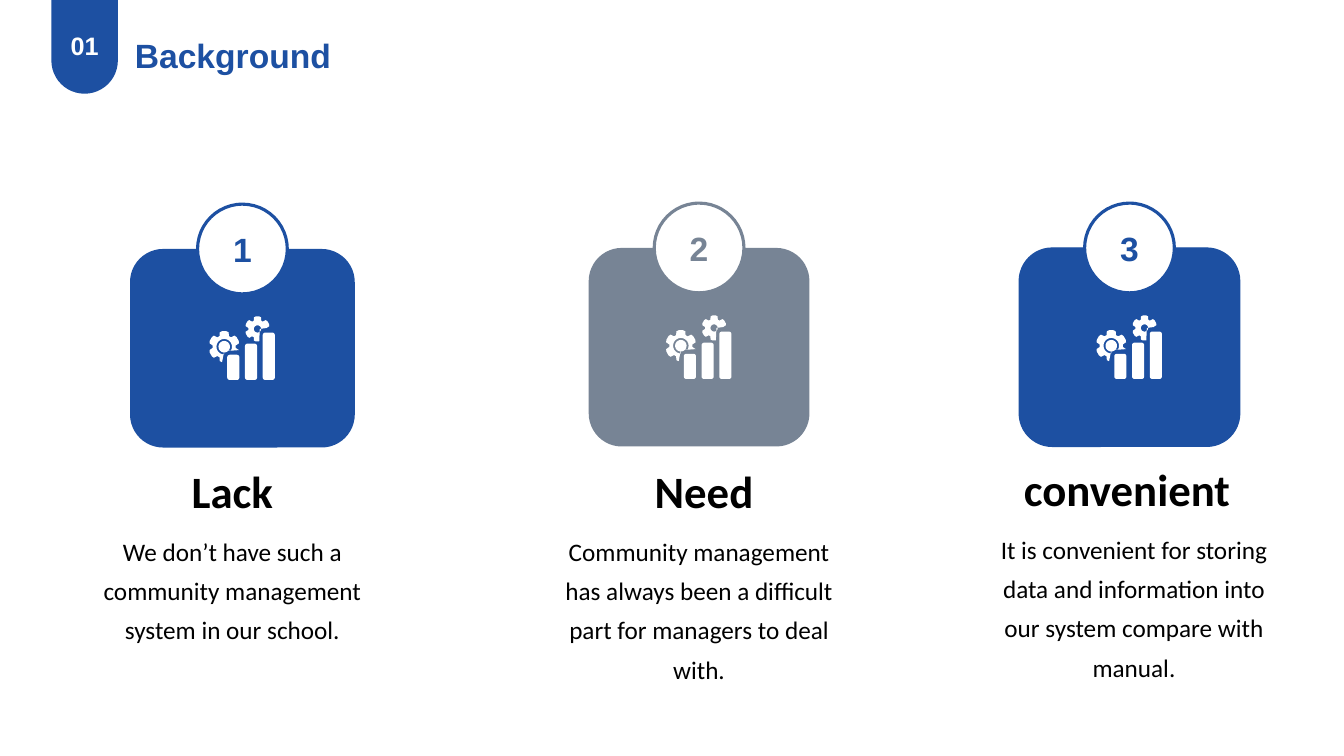
from collections import namedtuple
from math import cos, pi, sin

from pptx import Presentation
from pptx.dml.color import RGBColor
from pptx.enum.shapes import MSO_SHAPE
from pptx.enum.text import MSO_ANCHOR, PP_ALIGN
from pptx.util import Inches, Pt

BLUE, GREY, WHITE, BLACK = "1D50A2", "778495", "FFFFFF", "000000"

# All lengths are columns and rows of a grid with cells of a tenth of an inch.
Box = namedtuple("Box", "left top width height")
Reason = namedtuple("Reason", "number caption body color outline card caption_box body_box")

REASONS = [
    Reason("1", "Lack", "We don’t have such a community management system in our school.",
           BLUE, 0, Box(12.9, 24.7, 22.3, 19.7),
           Box(8.7, 46.6, 28.7, 5.2), Box(8.7, 51.8, 28.7, 15.5)),
    Reason("2", "Need", "Community management has always been a difficult part for "
           "managers to deal with.",
           GREY, 0, Box(58.4, 24.6, 21.9, 19.7),
           Box(55.5, 46.6, 28.7, 5.2), Box(55, 51.8, 28.7, 15.5)),
    Reason("3", "convenient", "It is convenient for storing data and information into "
           "our system compare with manual.",
           BLUE, 0.75, Box(101.1, 24.6, 21.9, 19.7),
           Box(97.7, 46.4, 28.2, 5.2), Box(97.7, 51.6, 29.6, 18.4)),
]


def grid(cells):
    return Inches(cells / 10)


def paint(value):
    return RGBColor.from_string(value)


def style(shape, fill, line=None, weight=0):
    shape.shadow.inherit = False
    shape.fill.solid()
    shape.fill.fore_color.rgb = paint(fill)
    if weight:
        shape.line.color.rgb = paint(line)
        shape.line.width = Pt(weight)
    else:
        shape.line.fill.background()


def write(shape, text, font, size, color, bold=True, anchor=MSO_ANCHOR.MIDDLE, spacing=None):
    frame = shape.text_frame
    frame.word_wrap = True
    frame.vertical_anchor = anchor
    para = frame.paragraphs[0]
    para.alignment = PP_ALIGN.CENTER
    para.line_spacing = spacing
    span = para.add_run()
    span.text = text
    span.font.name = font
    span.font.size = Pt(size)
    span.font.bold = bold
    span.font.color.rgb = paint(color)


def add_preset(shapes, kind, box, fill, line=None, weight=0):
    shape = shapes.add_shape(kind, *map(grid, box))
    style(shape, fill, line, weight)
    return shape


def add_text(shapes, box, *content, **options):
    write(shapes.add_textbox(*map(grid, box)), *content, **options)


def add_outline(shapes, contours, left, top, fill):
    """Draw closed contours as one shape; a contour inside another is a hole."""
    placed = [[(grid(left + x), grid(top + y)) for x, y in contour] for contour in contours]
    builder = shapes.build_freeform(*placed[0][0], scale=1.0)
    for index, contour in enumerate(placed):
        if index:
            builder.move_to(*contour[0])
        builder.add_line_segments(contour[1:], close=True)
    shape = builder.convert_to_shape()
    style(shape, fill)
    return shape


def arc(x, y, radius, start=0, sweep=360, steps=24):
    angles = [(start + sweep * step / steps) * pi / 180 for step in range(steps + 1)]
    return [(x + radius * cos(angle), y + radius * sin(angle)) for angle in angles]


def gear(x, y, root, tip):
    """Outline of a wheel with six teeth, one of them pointing up."""
    points = []
    for tooth in range(6):
        for turn, radius in ((-24, root), (-17, tip), (-8, tip + 0.05),
                             (8, tip + 0.05), (17, tip), (24, root)):
            angle = (tooth * 60 + 30 + turn) * pi / 180
            points.append((x + radius * cos(angle), y + radius * sin(angle)))
    return points


def notch(points, x, y):
    """Cut away what lies right of x and below y."""
    return [(x, y) if px > x and py > y else (px, py) for px, py in points]


def bar(left, top, right, bottom, radius=0.25):
    corners = [(right - radius, bottom - radius), (left + radius, bottom - radius),
               (left + radius, top + radius), (right - radius, top + radius)]
    return [point for turn, (x, y) in enumerate(corners)
            for point in arc(x, y, radius, turn * 90, 90, 6)]


def gears_and_bars():
    bars = [bar(1.8 + 1.76 * step, 3.8 - 1.1 * step, 3 + 1.76 * step, 6.3)
            for step in range(3)]
    large = [notch(gear(1.5, 3, 1.15, 1.5), 1.5, 3.45),
             notch(arc(1.5, 3, 0.77), 1.5, 3.45), arc(1.5, 3, 0.57)]
    small = [notch(gear(4.8, 1.24, 0.9, 1.2), 5.03, 1.24), arc(4.8, 1.24, 0.36)]
    return bars + large + small


def add_reason(page, reason):
    shapes = page.shapes.add_group_shape().shapes
    card = reason.card
    middle = card.left + card.width / 2
    add_preset(shapes, MSO_SHAPE.ROUNDED_RECTANGLE, card, reason.color,
               reason.color, reason.outline)
    disc = add_preset(shapes, MSO_SHAPE.OVAL, Box(middle - 4.45, card.top - 4.45, 8.9, 8.9),
                      WHITE, reason.color, 2.25)
    write(disc, reason.number, "Arial", 24, reason.color)
    add_outline(shapes, gears_and_bars(), middle - 3.3, card.top + 6.7, WHITE)
    add_text(shapes, reason.caption_box, reason.caption, "Calibri", 32, BLACK,
             anchor=MSO_ANCHOR.BOTTOM)
    add_text(shapes, reason.body_box, reason.body, "Calibri", 18, BLACK, bold=False,
             anchor=MSO_ANCHOR.TOP, spacing=1.3)


def add_heading(page):
    tab = [(0, 0), (6.6, 0)] + arc(3.3, 6.2, 3.3, 0, 180)
    badge = add_outline(page.shapes, [tab], 5.1, -0.2, BLUE)
    write(badge, "01", "Arial", 18, WHITE)
    add_text(page.shapes, Box(11.9, 3, 22.4, 5), "Background", "Arial", 24, BLUE,
             anchor=MSO_ANCHOR.TOP)


def main():
    deck = Presentation()
    deck.slide_width, deck.slide_height = grid(133.33), grid(75)
    page = deck.slides.add_slide(deck.slide_layouts[6])
    add_heading(page)
    for reason in REASONS:
        add_reason(page, reason)
    deck.save("out.pptx")


if __name__ == "__main__":
    main()
